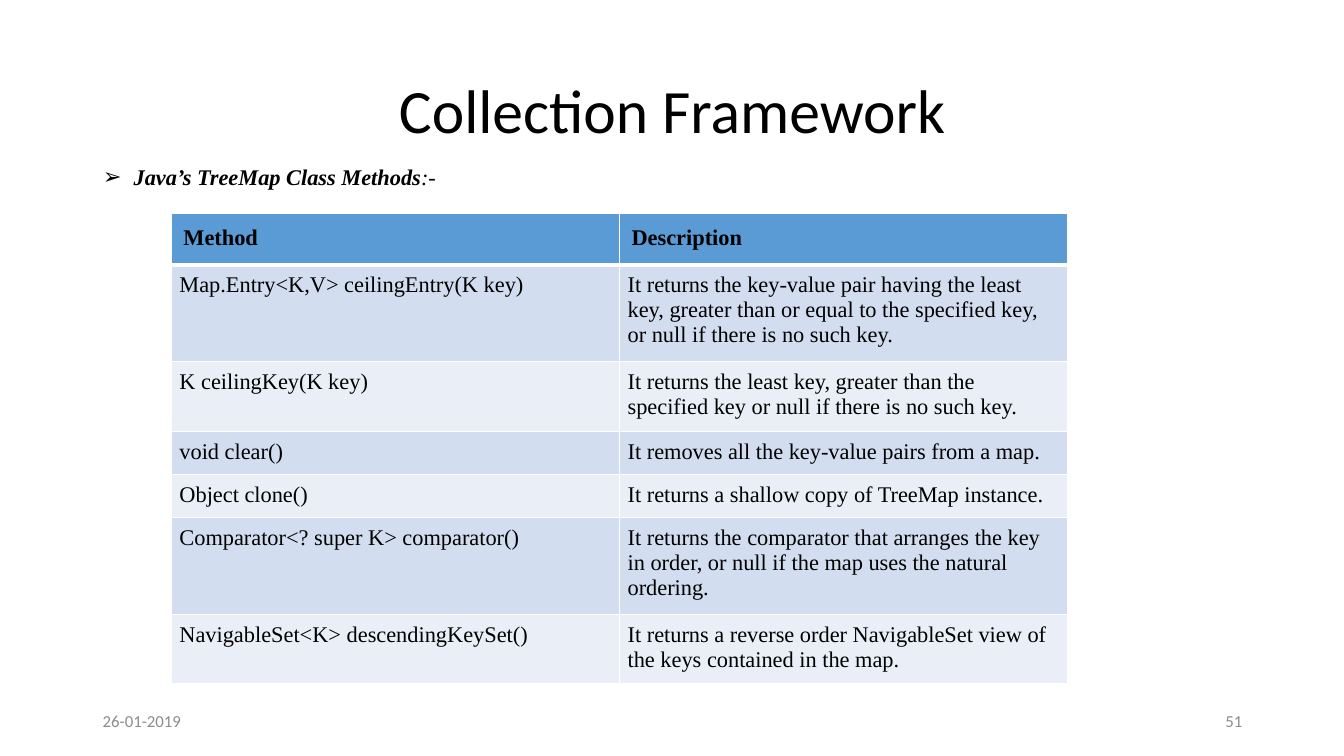
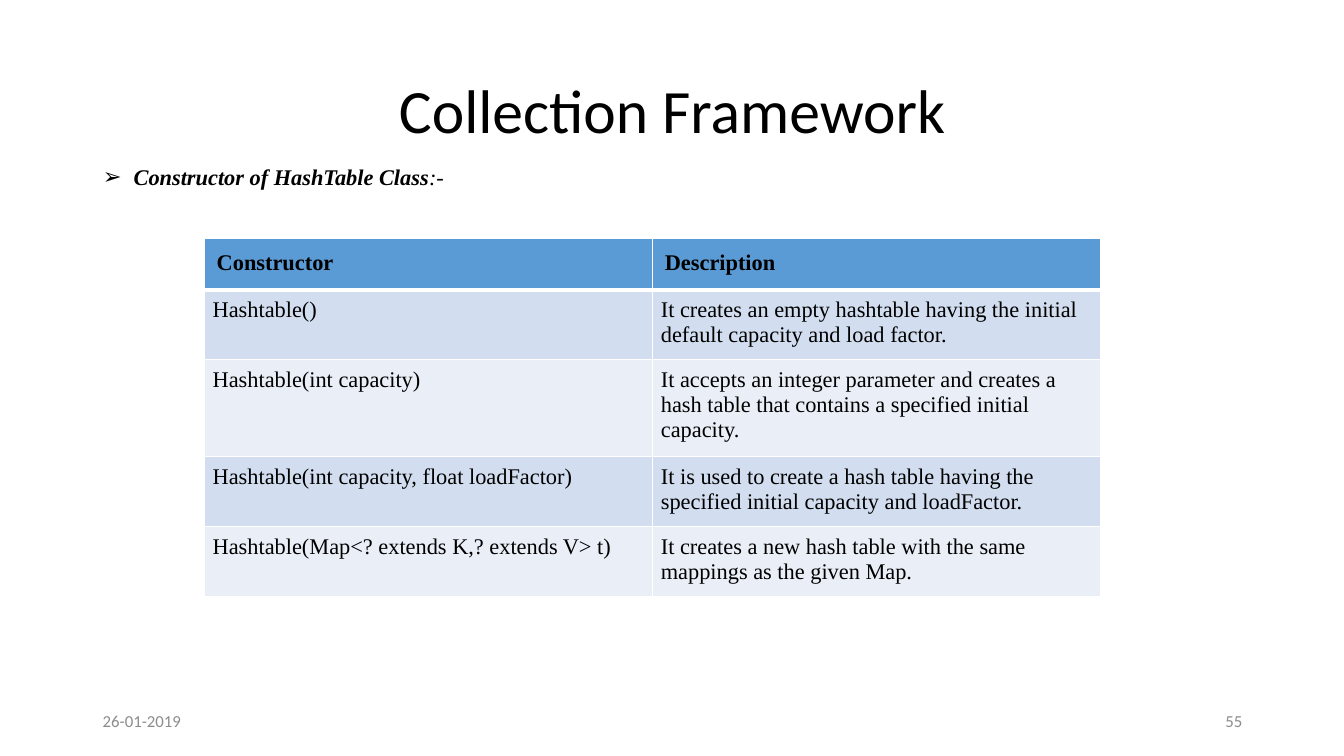
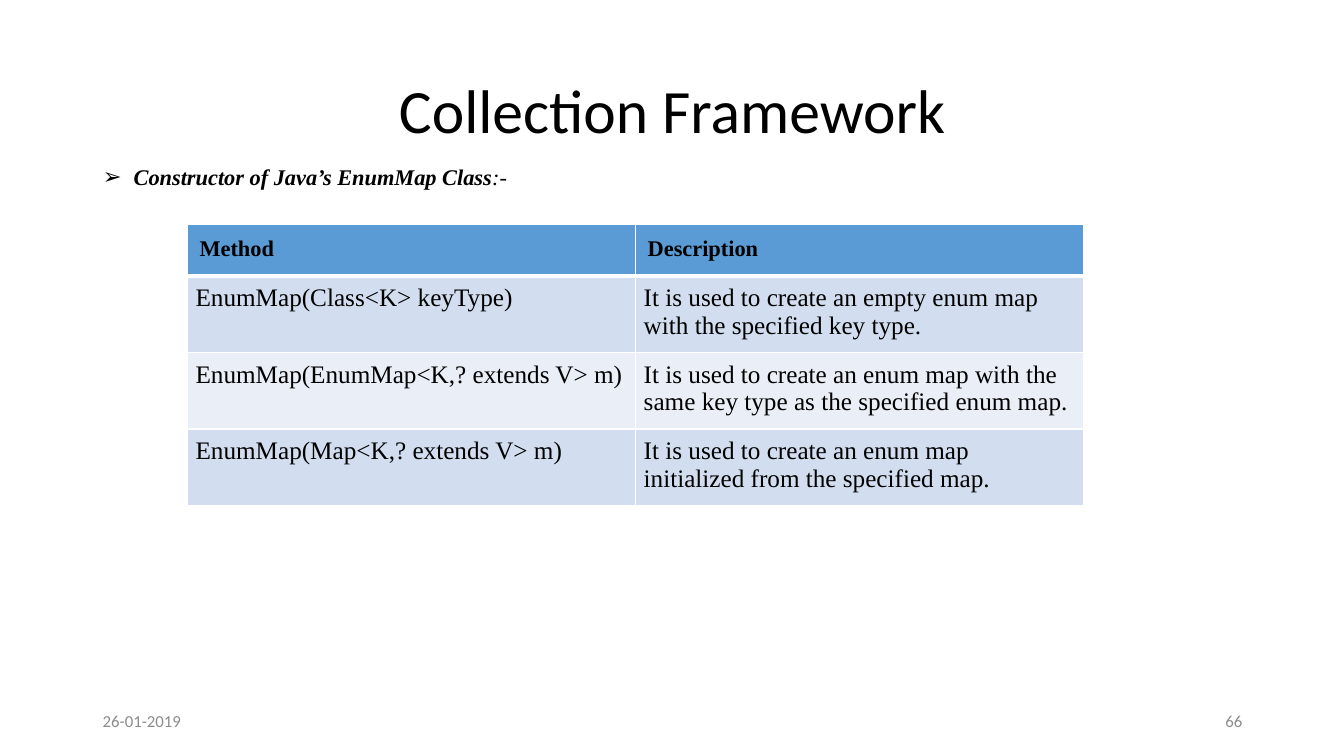
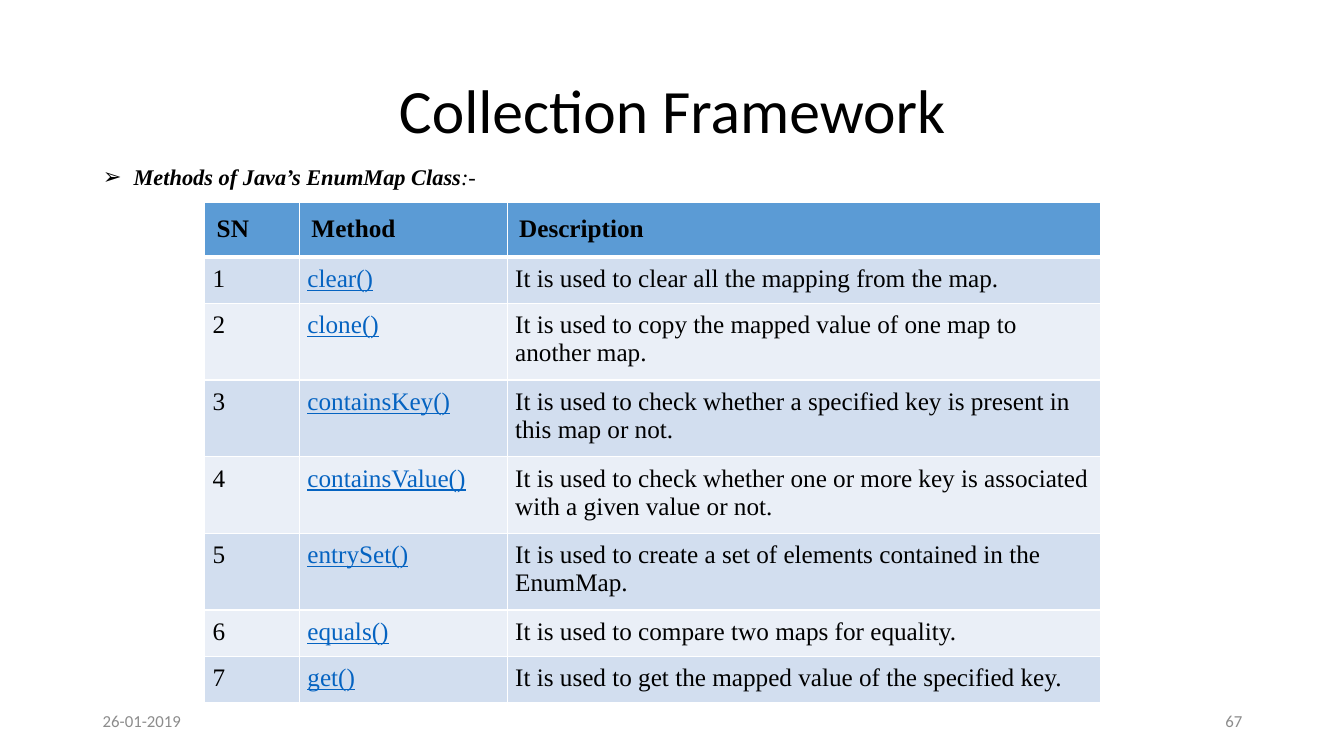
from lxml import etree
from pptx import Presentation
from pptx import util as u
from pptx.dml import color
from pptx.enum import text
from pptx.oxml import ns

COLORS = {
    "text": "000000",
    "footer": "8C8C8C",
    "link": "0563C1",
    "border": "FFFFFF",
    "header": "5B9BD5",
    "odd_row": "D2DEEF",
    "even_row": "EAEFF7",
}
HEADING_FONT = "Calibri"
BODY_FONT = "Times New Roman"
TITLE = "Collection Framework"
DATE = "26-01-2019"
TITLE_BOX = (0.92, 0.4, 11.5, 1.45)
BODY_BOX = (0.92, 1.6, 11.5, 5.75)
FOOTER_BOX = (0.92, 6.95, 11.5, 0.4)
FOOTER_PART = 3
TABLE_WIDTH = 8.89
ROW_HEIGHT = 0.41
HEADER_MARGIN = 0.12
CELL_MARGIN = 0.08

SLIDES = [
    {
        "number": "51",
        "topic": "Java’s TreeMap Class Methods",
        "corner": (1.7, 2.12),
        "columns": [TABLE_WIDTH / 2] * 2,
        "sizes": (16, 16),
        "rows": [
            ("Method", "Description"),
            ("Map.Entry<K,V> ceilingEntry(K key)",
             "It returns the key-value pair having the least key, greater than or equal to "
             "the specified key, or null if there is no such key."),
            ("K ceilingKey(K key)",
             "It returns the least key, greater than the specified key or null if there is "
             "no such key."),
            ("void clear()", "It removes all the key-value pairs from a map."),
            ("Object clone()", "It returns a shallow copy of TreeMap instance."),
            ("Comparator<? super K> comparator()",
             "It returns the comparator that arranges the key in order, or null if the map "
             "uses the natural ordering."),
            ("NavigableSet<K> descendingKeySet()",
             "It returns a reverse order NavigableSet view of the keys contained in the map."),
        ],
    },
    {
        "number": "55",
        "topic": "Constructor of HashTable Class",
        "corner": (2.03, 2.37),
        "columns": [TABLE_WIDTH / 2] * 2,
        "sizes": (16, 16),
        "rows": [
            ("Constructor", "Description"),
            ("Hashtable()",
             "It creates an empty hashtable having the initial default capacity and load factor."),
            ("Hashtable(int capacity)",
             "It accepts an integer parameter and creates a hash table that contains a "
             "specified initial capacity."),
            ("Hashtable(int capacity, float loadFactor)",
             "It is used to create a hash table having the specified initial capacity and "
             "loadFactor."),
            ("Hashtable(Map<? extends K,? extends V> t)",
             "It creates a new hash table with the same mappings as the given Map."),
        ],
    },
    {
        "number": "66",
        "topic": "Constructor of Java’s EnumMap Class",
        "corner": (1.86, 2.23),
        "columns": [TABLE_WIDTH / 2] * 2,
        "sizes": (16, 18),
        "rows": [
            ("Method", "Description"),
            ("EnumMap(Class<K> keyType)",
             "It is used to create an empty enum map with the specified key type."),
            ("EnumMap(EnumMap<K,? extends V> m)",
             "It is used to create an enum map with the same key type as the specified enum map."),
            ("EnumMap(Map<K,? extends V> m)",
             "It is used to create an enum map initialized from the specified map."),
        ],
    },
    {
        "number": "67",
        "topic": "Methods of Java’s EnumMap Class",
        "corner": (2.03, 2.01),
        "columns": [0.94, 2.06, 5.89],
        "sizes": (18, 18),
        "link_column": 1,
        "rows": [
            ("SN", "Method", "Description"),
            ("1", "clear()", "It is used to clear all the mapping from the map."),
            ("2", "clone()", "It is used to copy the mapped value of one map to another map."),
            ("3", "containsKey()",
             "It is used to check whether a specified key is present in this map or not."),
            ("4", "containsValue()",
             "It is used to check whether one or more key is associated with a given value or not."),
            ("5", "entrySet()",
             "It is used to create a set of elements contained in the EnumMap."),
            ("6", "equals()", "It is used to compare two maps for equality."),
            ("7", "get()", "It is used to get the mapped value of the specified key."),
        ],
    },
]


def format_font(font, name, size, color_name="text", bold=False, italic=False, underline=False):
    """Set every font property that the slides use."""
    font.name = name
    font.size = u.Pt(size)
    font.color.rgb = color.RGBColor.from_string(COLORS[color_name])
    font.bold = bold
    font.italic = italic
    font.underline = underline


def place(shape, box):
    """Move a shape to a box given in inches."""
    shape.left, shape.top, shape.width, shape.height = map(u.Inches, box)


def fill_title(shape, box):
    """Write the shared title into its placeholder."""
    place(shape, box)
    frame = shape.text_frame
    frame.text = TITLE
    frame.word_wrap = True
    frame.auto_size = text.MSO_AUTO_SIZE.NONE
    frame.vertical_anchor = text.MSO_ANCHOR.MIDDLE
    paragraph = frame.paragraphs[0]
    paragraph.alignment = text.PP_ALIGN.CENTER
    paragraph.line_spacing = 0.9
    format_font(paragraph.runs[0].font, HEADING_FONT, 44)


def fill_topic(shape, box, topic):
    """Write the bulleted topic line into the body placeholder."""
    place(shape, box)
    frame = shape.text_frame
    frame.word_wrap = True
    frame.auto_size = text.MSO_AUTO_SIZE.NONE
    frame.vertical_anchor = text.MSO_ANCHOR.TOP
    paragraph = frame.paragraphs[0]
    paragraph.line_spacing = 0.9
    paragraph.space_before = u.Pt(0)
    properties = paragraph._p.get_or_add_pPr()
    properties.set("marL", str(u.Inches(0.25)))
    properties.set("indent", str(u.Inches(-0.25)))
    etree.SubElement(properties, ns.qn("a:buFont")).set("typeface", "Arial")
    etree.SubElement(properties, ns.qn("a:buChar")).set("char", "➢")
    for words, bold in ((" " + topic, True), (":-", False)):
        run = paragraph.add_run()
        run.text = words
        format_font(run.font, BODY_FONT, 16, bold=bold, italic=True)


def add_footer(slide, box, number):
    """Put the date at the left end of the box and the slide number at the right."""
    left, top, width, height = box
    parts = (
        (DATE, left, text.PP_ALIGN.LEFT),
        (number, left + width - FOOTER_PART, text.PP_ALIGN.RIGHT),
    )
    for words, part_left, alignment in parts:
        shape = slide.shapes.add_textbox(0, 0, 0, 0)
        place(shape, (part_left, top, FOOTER_PART, height))
        frame = shape.text_frame
        frame.text = words
        frame.word_wrap = True
        frame.vertical_anchor = text.MSO_ANCHOR.MIDDLE
        paragraph = frame.paragraphs[0]
        paragraph.alignment = alignment
        format_font(paragraph.runs[0].font, HEADING_FONT, 12, "footer")


def add_borders(cell, widths):
    """Draw the left, right, top and bottom borders in the given point widths."""
    properties = cell._tc.get_or_add_tcPr()
    for side, width in zip("LRTB", widths):
        line = etree.SubElement(properties, ns.qn("a:ln" + side))
        line.set("w", str(u.Pt(width)))
        fill = etree.SubElement(line, ns.qn("a:solidFill"))
        etree.SubElement(fill, ns.qn("a:srgbClr")).set("val", COLORS["border"])


def format_cell(cell, row_index, size, is_link):
    """Give a cell its margins, borders, fill and font."""
    is_header = row_index == 0
    margin = u.Inches(HEADER_MARGIN if is_header else CELL_MARGIN)
    cell.margin_left = cell.margin_right = cell.margin_top = cell.margin_bottom = margin
    add_borders(cell, (1, 1, 3 if row_index == 1 else 1, 3 if is_header else 1))
    fill_name = "header" if is_header else ("even_row", "odd_row")[row_index % 2]
    cell.fill.solid()
    cell.fill.fore_color.rgb = color.RGBColor.from_string(COLORS[fill_name])
    format_font(cell.text_frame.paragraphs[0].runs[0].font, BODY_FONT, size,
                "link" if is_link else "text", bold=is_header, underline=is_link)


def add_method_table(slide, corner, columns, rows, sizes, link_column=None):
    """Add a banded table with its top left at the corner."""
    box = (*corner, sum(columns), ROW_HEIGHT * len(rows))
    table = slide.shapes.add_table(len(rows), len(columns), *map(u.Inches, box)).table
    for column, width in zip(table.columns, columns):
        column.width = u.Inches(width)
    for row_index, row in enumerate(rows):
        table.rows[row_index].height = u.Inches(ROW_HEIGHT)
        for column_index, words in enumerate(row):
            cell = table.cell(row_index, column_index)
            cell.text = words
            is_link = row_index > 0 and column_index == link_column
            format_cell(cell, row_index, sizes[min(row_index, 1)], is_link)


def add_table_slide(presentation, number, topic, **table):
    """Add a slide with title, topic, footer and table."""
    slide = presentation.slides.add_slide(presentation.slide_layouts[1])
    fill_title(slide.shapes.title, TITLE_BOX)
    fill_topic(slide.placeholders[1], BODY_BOX, topic)
    add_footer(slide, FOOTER_BOX, number)
    add_method_table(slide, **table)


def main():
    """Build and save the presentation."""
    presentation = Presentation()
    presentation.slide_width = u.Inches(13.33)
    presentation.slide_height = u.Inches(7.5)
    for content in SLIDES:
        add_table_slide(presentation, **content)
    presentation.save("out.pptx")


if __name__ == "__main__":
    main()
